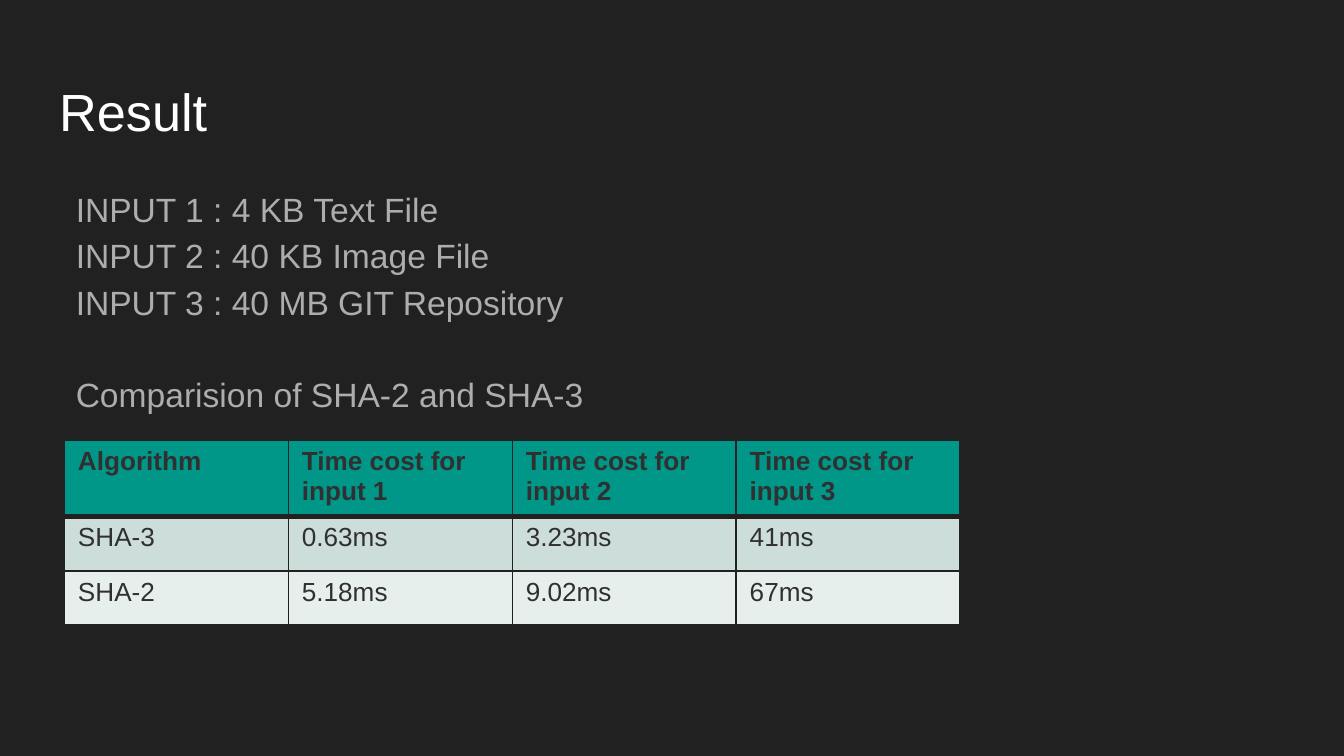
from dataclasses import dataclass

from lxml.etree import SubElement
from pptx import Presentation
from pptx.dml.color import RGBColor
from pptx.enum.text import MSO_ANCHOR, PP_ALIGN
from pptx.oxml.ns import qn
from pptx.slide import Slide
from pptx.util import Inches, Pt

BACKGROUND = RGBColor(0x21, 0x21, 0x21)
WHITE = RGBColor(0xFF, 0xFF, 0xFF)
GREY = RGBColor(0xAD, 0xAD, 0xAD)
INK = RGBColor(0x30, 0x30, 0x30)
TEAL = RGBColor(0x00, 0x96, 0x88)
BANDS = (RGBColor(0xCC, 0xDD, 0xDA), RGBColor(0xE7, 0xEF, 0xED))

INPUTS = (
    "INPUT 1 : 4 KB Text File",
    "INPUT 2 : 40 KB Image File",
    "INPUT 3 : 40 MB GIT Repository",
)
COMPARISON = "Comparision of SHA-2 and SHA-3"
TIMINGS = (
    ("Algorithm", *(f"Time cost for input {n}" for n in (1, 2, 3))),
    ("SHA-3", "0.63ms", "3.23ms", "41ms"),
    ("SHA-2", "5.18ms", "9.02ms", "67ms"),
)


def grid(*cells):
    """Turn counts of tenth-inch grid cells into lengths."""
    return [Inches(count / 10) for count in cells]


def add_border(cell, side, width):
    """Draw one side of a table cell in the background colour."""
    line = SubElement(cell._tc.get_or_add_tcPr(), qn(f"a:ln{side}"), w=str(Pt(width)))
    fill = SubElement(line, qn("a:solidFill"))
    SubElement(fill, qn("a:srgbClr"), val=str(BACKGROUND))


@dataclass
class Deck:
    """Holds the text style and the current slide."""

    slide: Slide
    font: str = "Arial"

    def style(self, paragraph, size, color, bold=False):
        """Format a whole paragraph."""
        paragraph.alignment = PP_ALIGN.LEFT
        font = paragraph.font
        font.name, font.size, font.bold = self.font, Pt(size), bold
        font.color.rgb = color

    def frame(self, shape):
        """Give a text shape even insets and top anchoring."""
        frame = shape.text_frame
        frame.word_wrap = True
        frame.vertical_anchor = MSO_ANCHOR.TOP
        frame.margin_left = frame.margin_right = Inches(0.1)
        frame.margin_top = frame.margin_bottom = Inches(0.1)
        return frame

    def title(self, text, box):
        """Place and fill the title placeholder."""
        heading = self.slide.shapes.title
        heading.left, heading.top, heading.width, heading.height = grid(*box)
        frame = self.frame(heading)
        frame.text = text
        self.style(frame.paragraphs[0], 28, WHITE)

    def body(self, lines, box):
        """Add indented lines of text and return their paragraphs."""
        frame = self.frame(self.slide.shapes.add_textbox(*grid(*box)))
        frame.text = "\n".join(lines)
        for paragraph in frame.paragraphs:
            self.style(paragraph, 18, GREY)
            paragraph.line_spacing = 1.15
            paragraph._p.get_or_add_pPr().set("marL", str(Pt(9)))
        return frame.paragraphs

    def table(self, rows, box, row_height):
        """Add a table with a teal header and banded rows."""
        table = self.slide.shapes.add_table(len(rows), len(rows[0]), *grid(*box)).table
        table.first_row = table.horz_banding = False
        for row in table.rows:
            row.height = Inches(row_height / 10)
        for r, values in enumerate(rows):
            for c, text in enumerate(values):
                cell = table.cell(r, c)
                cell.text = text
                self.style(cell.text_frame.paragraphs[0], 14, INK, bold=r == 0)
                for side in "LRTB":
                    header_rule = (r, side) in ((0, "B"), (1, "T"))
                    add_border(cell, side, 3 if header_rule else 1)
                cell.fill.solid()
                cell.fill.fore_color.rgb = BANDS[(r - 1) % 2] if r else TEAL


def main():
    """Build the result slide."""
    presentation = Presentation()
    presentation.slide_width, presentation.slide_height = grid(100, 56.25)
    slide = presentation.slides.add_slide(presentation.slide_layouts[5])
    slide.background.fill.solid()
    slide.background.fill.fore_color.rgb = BACKGROUND

    deck = Deck(slide)
    deck.title("Result", (3.4, 4.9, 93.2, 6.3))
    lines = deck.body((*INPUTS, COMPARISON), (3.4, 12.6, 93.2, 37.4))
    lines[-1].space_before = Pt(24.8)
    deck.table(TIMINGS, (4.8, 32.75, 66.65, 13.8), 4.05)
    presentation.save("out.pptx")


main()
